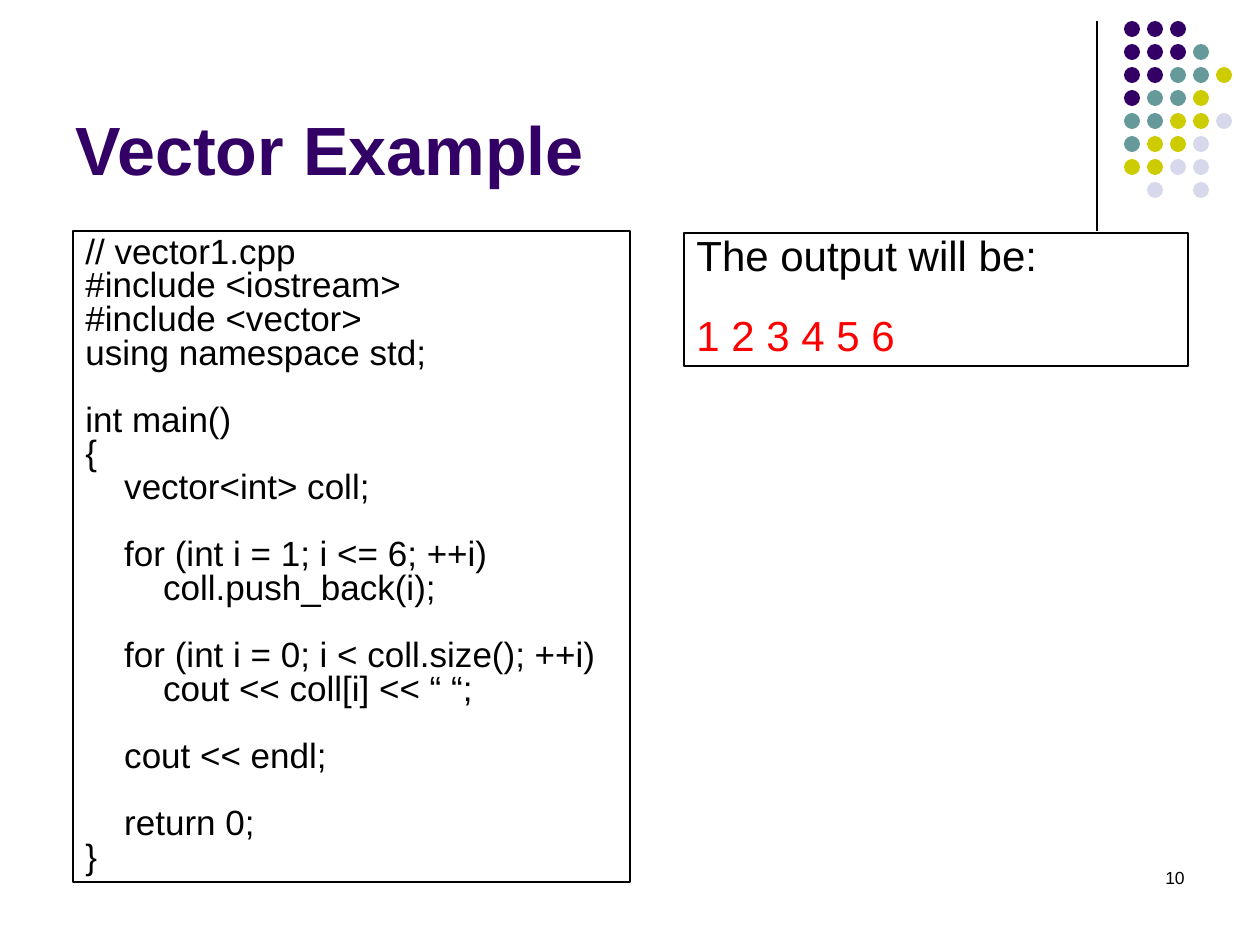
from dataclasses import dataclass

from lxml.etree import SubElement
from pptx import Presentation
from pptx.dml.color import RGBColor
from pptx.enum.shapes import MSO_CONNECTOR, MSO_SHAPE
from pptx.enum.text import MSO_ANCHOR as ANCHOR, PP_ALIGN as ALIGN
from pptx.oxml.ns import qn
from pptx.util import Emu, Pt

TITLE = "Vector Example"
SLIDE_NUMBER = "10"
CODE = """\
// vector1.cpp
#include <iostream>
#include <vector>
using namespace std;

int main()
{
    vector<int> coll;

    for (int i = 1; i <= 6; ++i)
        coll.push_back(i);

    for (int i = 0; i < coll.size(); ++i)
        cout << coll[i] << “ “;

    cout << endl;

    return 0;
}"""
OUTPUT_LABEL = "The output will be:"
OUTPUT = "1 2 3 4 5 6"

# One letter per dot: purple, teal, olive, lavender
DOTS = ["PPP", "PPPT", "PPTTO", "PTTO", "TTOOL", "TOOL", "OOLL", " L L"]
DOT_LEFT, DOT_TOP, DOT_PITCH, DOT_SIZE = 1124, 21, 23, 16


@dataclass(frozen=True)
class Theme:
    font: str = "Arial"
    ink: str = "000000"
    purple: str = "330066"
    teal: str = "669999"
    olive: str = "CCCC00"
    lavender: str = "D8D8EC"
    result: str = "FF0000"
    title_size: int = 39
    code_size: int = 20
    output_size: int = 24
    number_size: int = 10
    line_width: float = 0.75
    tight: float = 0.8
    code_gap: float = 19.2
    output_gap: float = 22.9


T = Theme()
DOT_COLORS = {"P": T.purple, "T": T.teal, "O": T.olive, "L": T.lavender}


def px(n):
    return Emu(round(n * 914400 / 126))


def rgb(color):
    return RGBColor.from_string(color)


def place(sp, left, top, width, height):
    sp.left, sp.top, sp.width, sp.height = map(px, (left, top, width, height))


def write(p, text, size, color=T.ink, bold=False, align=ALIGN.LEFT,
          spacing=1.0, before=0):
    p.alignment = align
    p.line_spacing = spacing
    p.space_before = Pt(before)
    r = p.add_run()
    r.text = text
    font = r.font
    font.name, font.size, font.bold = T.font, Pt(size), bold
    font.color.rgb = rgb(color)


def add_plain_shape(slide, kind, left, top, width, height):
    sp = slide.shapes.add_shape(kind, *map(px, (left, top, width, height)))
    sp.shadow.inherit = False
    return sp


def add_panel(slide, box, lines, size):
    """Add an outlined box of tight lines, each (text, color, space before)."""
    sp = add_plain_shape(slide, MSO_SHAPE.RECTANGLE, *box)
    sp.fill.background()
    sp.line.color.rgb = rgb(T.ink)
    sp.line.width = Pt(T.line_width)
    tf = sp.text_frame
    tf.word_wrap = True
    tf.vertical_anchor = ANCHOR.TOP
    for i, (text, color, before) in enumerate(lines):
        p = tf.add_paragraph() if i else tf.paragraphs[0]
        write(p, text, size, color, spacing=T.tight, before=before)


def code_lines():
    """Turn each empty code line into space before the line that follows."""
    lines, before = [], 0
    for text in CODE.splitlines():
        if text:
            lines.append((text, T.ink, before))
            before = 0
        else:
            before = T.code_gap
    return lines


def add_decoration(slide):
    rule = slide.shapes.add_connector(
        MSO_CONNECTOR.STRAIGHT, *map(px, (1097, 21, 1097, 231)))
    rule.line.color.rgb = rgb(T.ink)
    rule.line.width = Pt(T.line_width)
    SubElement(rule._element.spPr, qn("a:effectLst"))
    for row, letters in enumerate(DOTS):
        for col, letter in enumerate(letters):
            if letter in DOT_COLORS:
                dot = add_plain_shape(
                    slide, MSO_SHAPE.OVAL, DOT_LEFT + col * DOT_PITCH,
                    DOT_TOP + row * DOT_PITCH, DOT_SIZE, DOT_SIZE)
                dot.fill.solid()
                dot.fill.fore_color.rgb = rgb(DOT_COLORS[letter])
                dot.line.fill.background()


def main():
    prs = Presentation()
    prs.slide_width, prs.slide_height = px(1260), px(945)
    slide = prs.slides.add_slide(prs.slide_layouts[5])
    add_decoration(slide)

    title = slide.shapes.title
    place(title, 63, 16, 1040, 179)
    title.text_frame.vertical_anchor = ANCHOR.BOTTOM
    write(title.text_frame.paragraphs[0], TITLE, T.title_size, T.purple, bold=True)

    add_panel(slide, (73, 231, 557, 651), code_lines(), T.code_size)
    add_panel(slide, (684, 233, 504, 133),
              [(OUTPUT_LABEL, T.ink, 0), (OUTPUT, T.result, T.output_gap)],
              T.output_size)

    number = slide.shapes.add_textbox(*map(px, (903, 861, 294, 63)))
    number.text_frame.word_wrap = True
    write(number.text_frame.paragraphs[0], SLIDE_NUMBER, T.number_size,
          align=ALIGN.RIGHT)

    prs.save("out.pptx")


if __name__ == "__main__":
    main()
